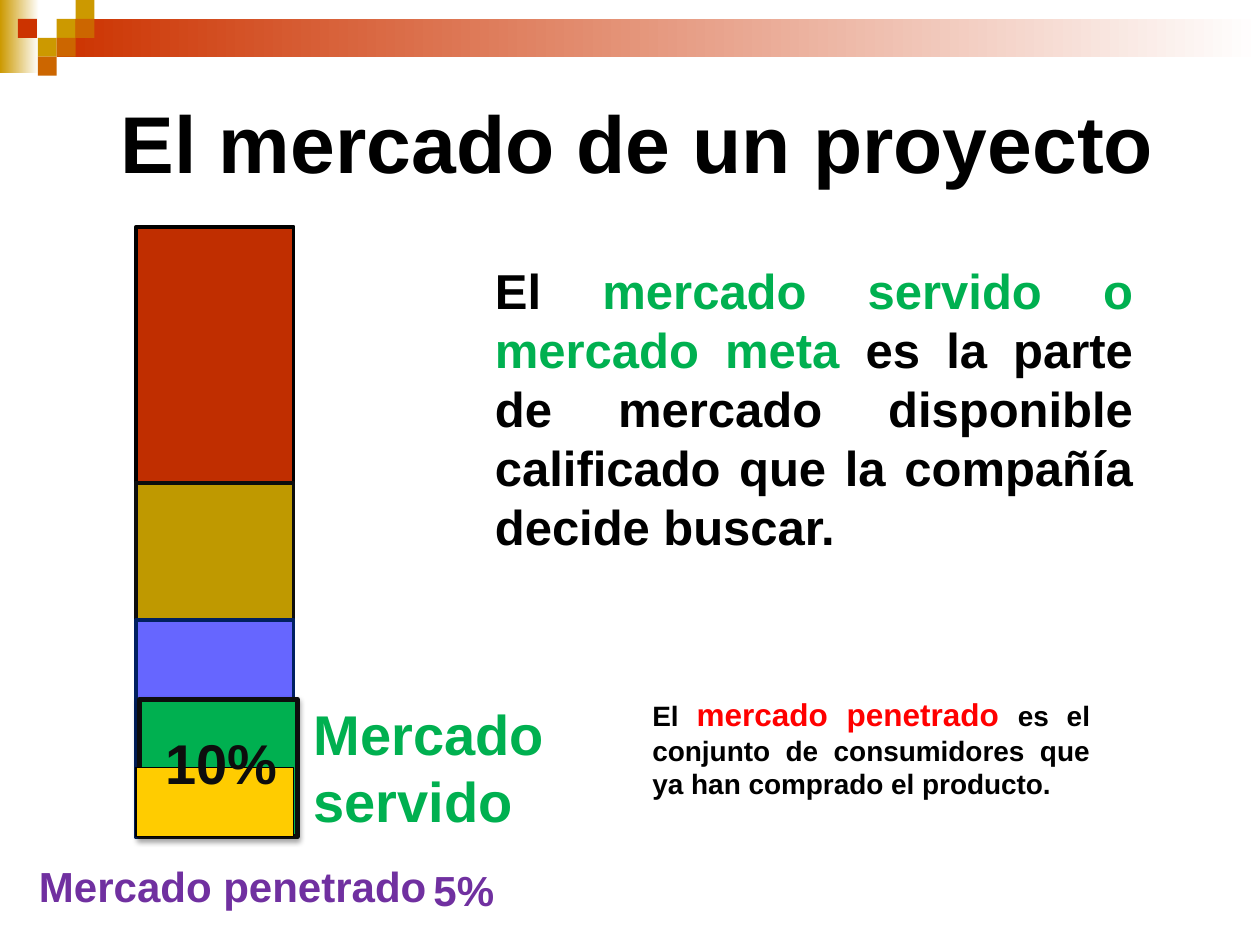
"""Builds the slide on the market of a project, with its stacked market column."""
import lxml.etree
import pptx
import pptx.dml.color
import pptx.enum.shapes
import pptx.enum.text
import pptx.oxml.ns
import pptx.util

Inches = pptx.util.Inches
Pt = pptx.util.Pt
qn = pptx.oxml.ns.qn


def color(hex_value):
    return pptx.dml.color.RGBColor.from_string(hex_value)


class SlideBuilder:
    font_name = "Arial"

    def __init__(self, slide):
        self.slide = slide

    def rectangle(self, box, fill, line=None, line_width=0):
        shape = self.slide.shapes.add_shape(
            pptx.enum.shapes.MSO_SHAPE.RECTANGLE, *map(Inches, box))
        shape.shadow.inherit = False
        shape.fill.solid()
        shape.fill.fore_color.rgb = color(fill)
        if line:
            shape.line.color.rgb = color(line)
            shape.line.width = Pt(line_width)
        else:
            shape.line.fill.background()
        return shape

    def gradient(self, box, start, end):
        shape = self.rectangle(box, start)
        shape.fill.gradient()
        shape.fill.gradient_angle = 0
        for stop, value, position in zip(shape.fill.gradient_stops, (start, end), (0, 1)):
            stop.color.rgb = color(value)
            stop.position = position

    def drop_shadow(self, shape, hex_value, opacity, blur, distance):
        effects = shape._element.spPr.find(qn("a:effectLst"))
        shadow = lxml.etree.SubElement(
            effects, qn("a:outerShdw"), blurRad=str(Pt(blur)), dist=str(Pt(distance)),
            dir="5400000", rotWithShape="0")
        tone = lxml.etree.SubElement(shadow, qn("a:srgbClr"), val=hex_value)
        lxml.etree.SubElement(tone, qn("a:alpha"), val=str(opacity * 1000))

    def text(self, box, paragraphs, wrap=True, inset=True, justify=False):
        frame = self.slide.shapes.add_textbox(*map(Inches, box)).text_frame
        frame.word_wrap = wrap
        frame.auto_size = pptx.enum.text.MSO_AUTO_SIZE.SHAPE_TO_FIT_TEXT
        if not inset:
            frame.margin_left = frame.margin_right = 0
            frame.margin_top = frame.margin_bottom = 0
        for index, runs in enumerate(paragraphs):
            paragraph = frame.add_paragraph() if index else frame.paragraphs[0]
            if justify:
                paragraph.alignment = pptx.enum.text.PP_ALIGN.JUSTIFY
            for words, size, hex_value in runs:
                run = paragraph.add_run()
                run.text = words
                run.font.name = self.font_name
                run.font.size = Pt(size)
                run.font.bold = True
                run.font.color.rgb = color(hex_value)


def add_banner(builder):
    builder.gradient((0, 0, 0.31, 0.58), "CC9900", "FFFFFF")
    builder.gradient((0.45, 0.15, 9.55, 0.3), "CC3300", "FFFFFF")
    tile = 0.15
    tiles = [(3, 1, "CC9900"), (4, 0, "CC9900"), (4, 1, "CC6600"), (2, 2, "CC9900"),
             (0.95, 1, "CC3300"), (3, 2, "CC6600"), (2, 3, "CC6600")]
    for column, row, fill in tiles:
        builder.rectangle((column * tile, row * tile, tile, tile), fill)


def add_market_column(builder):
    left, width, bottom = 1.08, 1.25, 6.64
    segments = [(left, 1.8, "C02E00", "000000", 2.25),
                (left, 3.83, "BF9900", "0D0D0D", 2.25),
                (left, 4.92, "6666FF", "002060", 2.25),
                (left + 0.03, 5.55, "00B050", "0D0D0D", 3),
                (left, 6.09, "FFCC00", "000000", 0.75)]
    served_fill = "00B050"
    for x, top, fill, line, line_width in segments:
        segment = builder.rectangle((x, top, width, bottom - top), fill, line, line_width)
        if fill == served_fill:
            builder.drop_shadow(segment, "000000", 35, 3.1, 1.8)


def add_texts(builder):
    black, green, purple = "000000", "00B050", "7030A0"
    builder.text((3.83, 2.02, 5.26, 2.86), [[
        ("El ", 28, black),
        ("mercado servido o mercado meta ", 28, green),
        ("es la parte de mercado disponible calificado que la compañía decide buscar.",
         28, black)]], justify=True)
    builder.text((0.86, 0.69, 8.49, 0.88),
                 [[("El mercado de un proyecto", 46, black)]], wrap=False)
    builder.text((2.49, 5.55, 1.97, 1.08),
                 [[("Mercado", 32, green)], [("servido", 32, green)]],
                 wrap=False, inset=False)
    builder.text((0.31, 6.83, 3.1, 0.4), [[("Mercado penetrado", 24, purple)]],
                 wrap=False, inset=False)
    builder.text((1.31, 5.78, 1.02, 0.54), [[("10%", 32, "0D0D0D")]], inset=False)
    builder.text((3.44, 6.86, 0.72, 0.4), [[("5%", 24, purple)]], inset=False)
    builder.text((5.08, 5.47, 3.67, 1.21), [[
        ("El ", 16, black),
        ("mercado penetrado ", 18, "FF0000"),
        ("es el conjunto de consumidores que ya han comprado el producto.",
         16, black)]], justify=True)


def main():
    presentation = pptx.Presentation()
    presentation.slide_width = Inches(10)
    presentation.slide_height = Inches(7.5)
    builder = SlideBuilder(presentation.slides.add_slide(presentation.slide_layouts[6]))
    add_banner(builder)
    add_market_column(builder)
    add_texts(builder)
    presentation.save("out.pptx")


if __name__ == "__main__":
    main()
